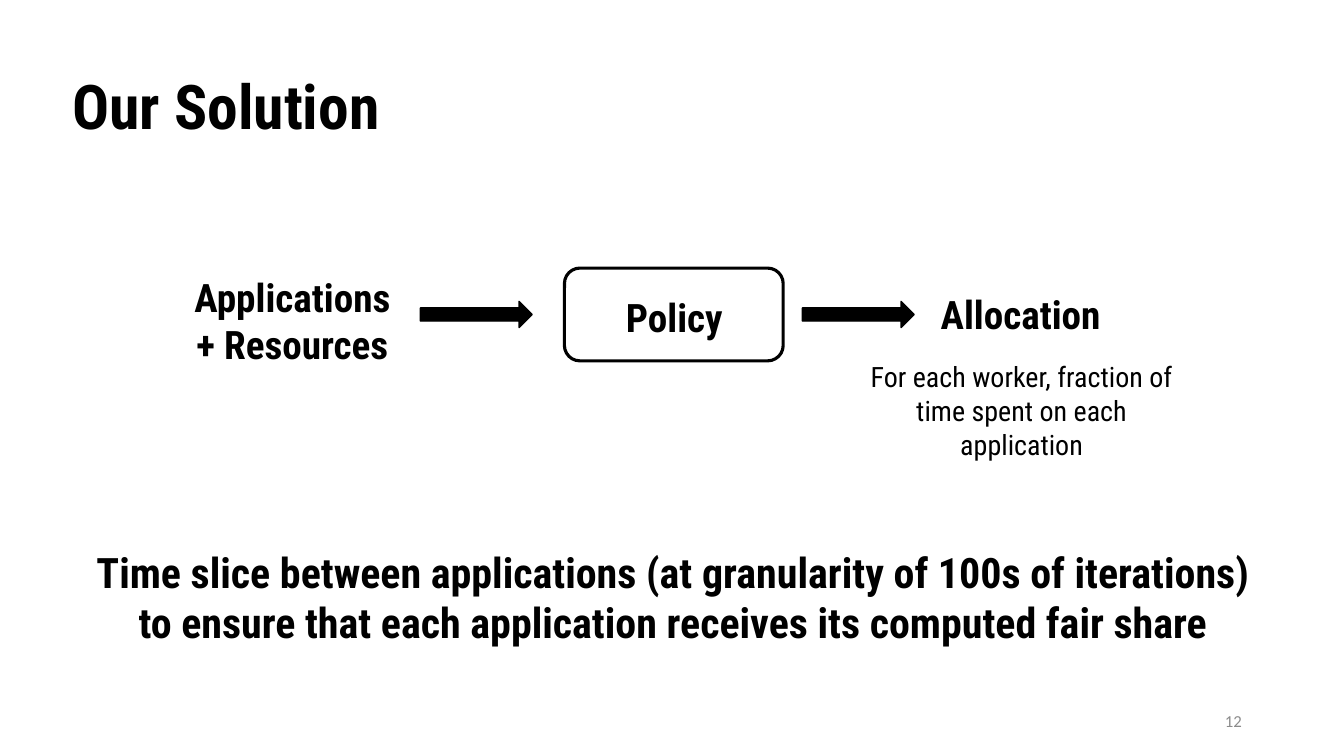
from pptx import Presentation
from pptx.dml.color import RGBColor
from pptx.enum.shapes import MSO_SHAPE
from pptx.enum.text import MSO_ANCHOR, PP_ALIGN
from pptx.util import Pt

ROUNDED, ARROW = MSO_SHAPE.ROUNDED_RECTANGLE, MSO_SHAPE.RIGHT_ARROW
TOP, MIDDLE = MSO_ANCHOR.TOP, MSO_ANCHOR.MIDDLE
LEFT, CENTER, RIGHT = PP_ALIGN.LEFT, PP_ALIGN.CENTER, PP_ALIGN.RIGHT
BLACK, GRAY = "000000", "8C8C8C"
CONDENSED = "Roboto Condensed"


def rgb(value):
    return RGBColor.from_string(value)


def add_text(text, box, size, bold=True, align=CENTER, anchor=TOP,
             font=CONDENSED, color=BLACK):
    frame = slide.shapes.add_textbox(*map(Pt, box)).text_frame
    frame.word_wrap = True
    frame.vertical_anchor = anchor
    paragraph = frame.paragraphs[0]
    paragraph.text = text
    paragraph.alignment = align
    paragraph.font.name = font
    paragraph.font.size = Pt(size)
    paragraph.font.bold = bold
    paragraph.font.color.rgb = rgb(color)
    return paragraph


prs = Presentation()
prs.slide_width, prs.slide_height = Pt(960), Pt(540)
slide = prs.slides.add_slide(prs.slide_layouts[6])

title = add_text("Our Solution", (44.64, 25.92, 828, 104.4), 44,
                 align=LEFT, anchor=MIDDLE)
title.line_spacing = 0.9
add_text("12", (678.24, 500.4, 216, 28.8), 12, bold=False, align=RIGHT,
         anchor=MIDDLE, font="Calibri", color=GRAY)

policy = slide.shapes.add_shape(ROUNDED, Pt(403.2), Pt(191.52), Pt(156.24), Pt(66.24))
policy.shadow.inherit = False
policy.fill.background()
policy.line.color.rgb = rgb(BLACK)
policy.line.width = Pt(2.25)

for arrow_left in (300.24, 573.12):
    arrow = slide.shapes.add_shape(ARROW, Pt(arrow_left), Pt(215.28), Pt(79.92), Pt(18.72))
    arrow.shadow.inherit = False
    arrow.fill.solid()
    arrow.fill.fore_color.rgb = rgb(BLACK)
    arrow.line.color.rgb = rgb(BLACK)
    arrow.line.width = Pt(1)

add_text("Applications + Resources", (125.28, 191.52, 167.04, 74.88), 28)
add_text("Policy", (421.92, 205.92, 119.52, 37.44), 28)
add_text("Allocation", (656.64, 203.76, 144.72, 41.04), 28)
add_text("For each worker, fraction of time spent on each application",
         (611.28, 253.44, 236.88, 79.92), 20, bold=False)
add_text("Time slice between applications (at granularity of 100s of iterations) "
         "to ensure that each application receives its computed fair share",
         (48.96, 386.64, 864, 94.32), 30)

prs.save("out.pptx")
